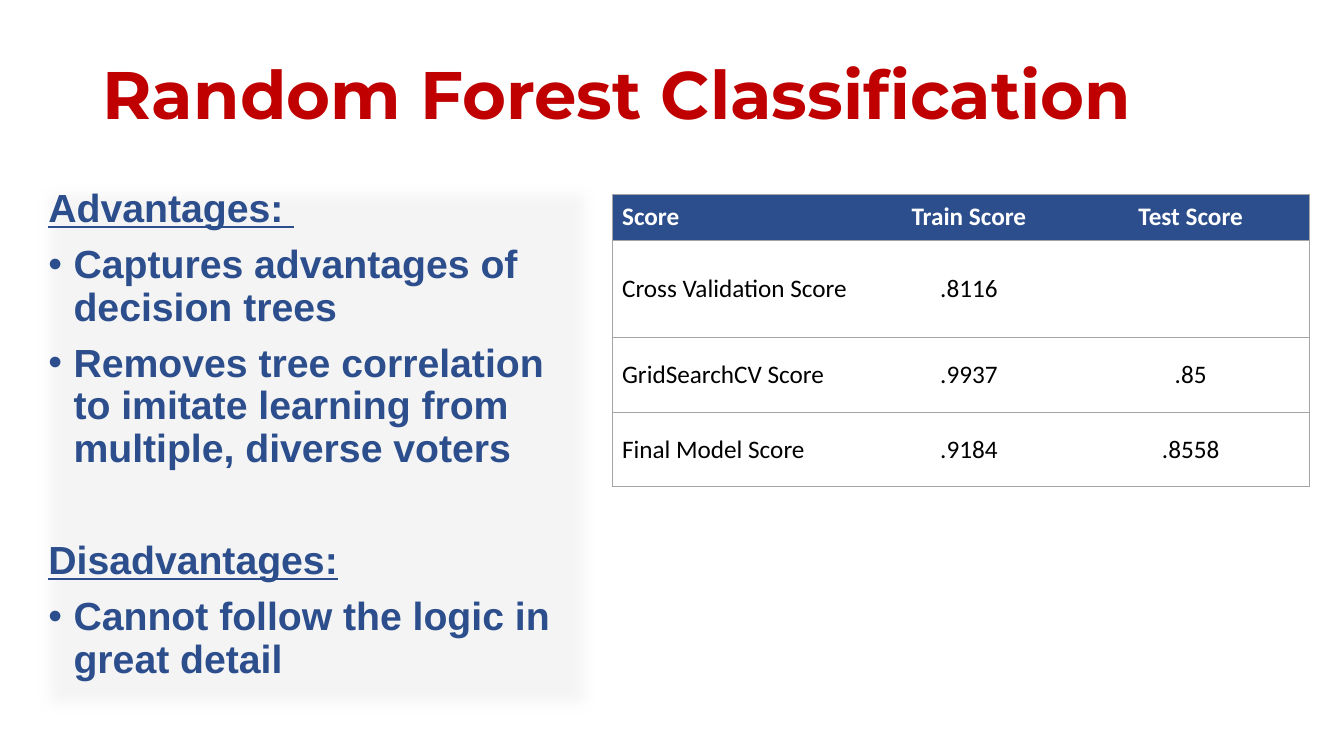
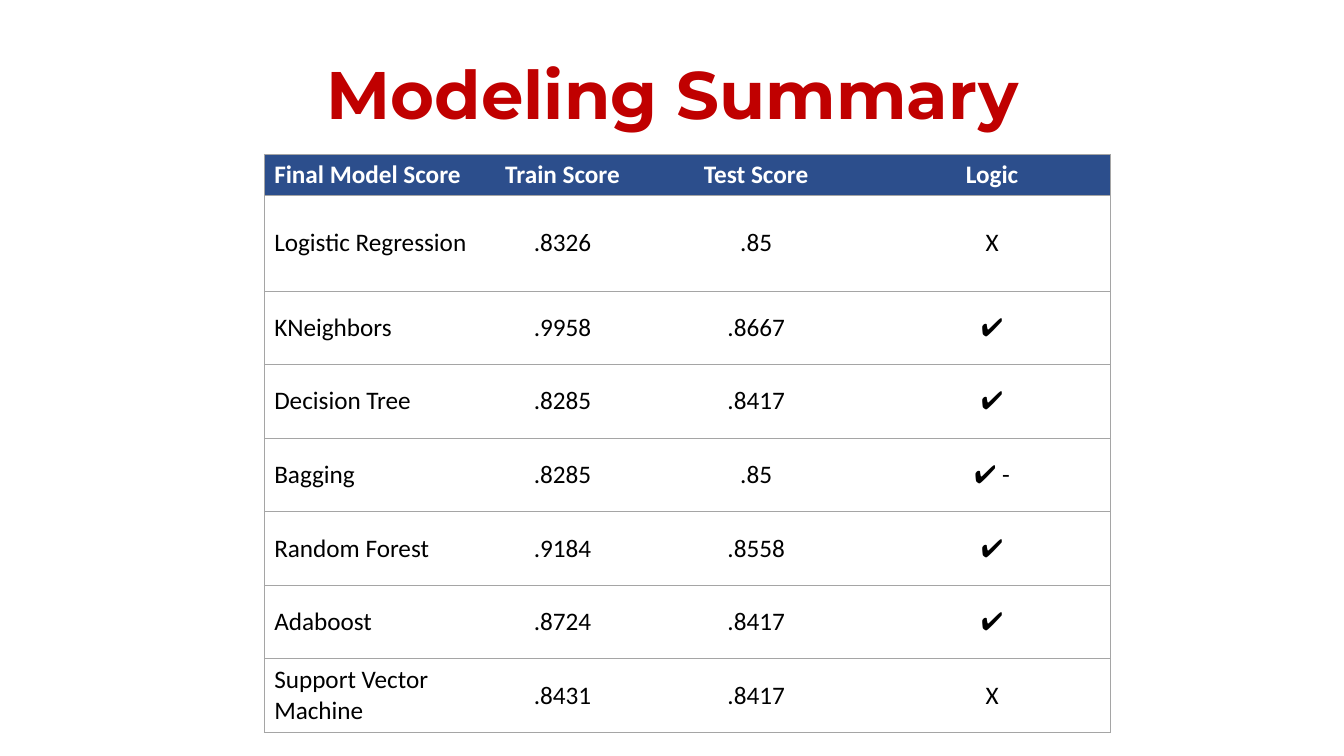
from lxml import etree
from pptx import Presentation
from pptx.dml.color import RGBColor
from pptx.enum.text import MSO_ANCHOR as ANCHOR, MSO_AUTO_SIZE as AUTO, PP_ALIGN as ALIGN
from pptx.oxml import parse_xml
from pptx.oxml.ns import nsdecls, qn
from pptx.util import Pt

PX = 9144  # EMU per px, 100 px to the inch
RED, BLUE, GREY, PANEL = "C00000", "2C4E8C", "A5A5A5", "F2F2F2"
WHITE, BLACK = "FFFFFF", "000000"
TITLE_BOX = (92, 40, 1150, 113)
TITLE_ONLY, TITLE_AND_BODY = 5, 1


def px(n):
    return n * PX


def color(value):
    return RGBColor.from_string(value)


def place(sp, box):
    sp.left, sp.top, sp.width, sp.height = map(px, box)


def add_run(p, text, font, size, hue, bold=False, underline=False):
    r = p.add_run()
    r.text = text
    f = r.font
    f.name, f.size, f.bold, f.underline = font, Pt(size), bold, underline
    f.color.rgb = color(hue)


def add_title(s, text, align):
    sp = s.shapes.title
    place(sp, TITLE_BOX)
    tf = sp.text_frame
    tf.auto_size, tf.vertical_anchor = AUTO.NONE, ANCHOR.MIDDLE
    p = tf.paragraphs[0]
    p.alignment, p.line_spacing = align, 0.9
    add_run(p, text, "Montserrat", 48, RED, bold=True)


def set_bullet(p, bulleted):
    pPr = p._p.get_or_add_pPr()
    indent = px(25) if bulleted else 0
    pPr.set("marL", str(indent))
    pPr.set("indent", str(-indent))
    if bulleted:
        etree.SubElement(pPr, qn("a:buFont")).set("typeface", "Arial")
        etree.SubElement(pPr, qn("a:buChar")).set("char", "•")
    else:
        etree.SubElement(pPr, qn("a:buNone"))


def add_panel(s, box, sections):
    """Soft-edged panel with underlined headings and bullets."""
    sp = s.placeholders[1]
    place(sp, box)
    sp.fill.solid()
    sp.fill.fore_color.rgb = color(PANEL)
    rgb = sp._element.spPr.find(".//" + qn("a:srgbClr"))
    etree.SubElement(rgb, qn("a:alpha")).set("val", "72000")
    sp.line.fill.background()
    sp._element.spPr.append(parse_xml(
        f'<a:effectLst {nsdecls("a")}><a:softEdge rad="112500"/></a:effectLst>'))

    tf = sp.text_frame
    tf.word_wrap, tf.auto_size, tf.vertical_anchor = True, AUTO.NONE, ANCHOR.TOP
    p = tf.paragraphs[0]
    for number, (heading, bullets) in enumerate(sections):
        for i, text in enumerate([heading, *bullets]):
            is_heading = i == 0
            if number or i:
                p = tf.add_paragraph()
            p.alignment, p.line_spacing = ALIGN.LEFT, 0.9
            p.space_before = Pt(50 if is_heading and number else 10)
            p.space_after = Pt(0)
            set_bullet(p, not is_heading)
            add_run(p, text, "Arial", 28, BLUE, bold=True, underline=is_heading)


def set_borders(cell, first, last):
    """Rules above and below each row, side rules only on the outside."""
    tcPr = cell._tc.get_or_add_tcPr()
    sides = {"lnL": first, "lnR": last, "lnT": True, "lnB": True}
    for i, (side, shown) in enumerate(sides.items()):
        fill = (f'<a:solidFill><a:srgbClr val="{GREY}"/></a:solidFill>'
                if shown else "<a:noFill/>")
        tcPr.insert(i, parse_xml(
            f'<a:{side} {nsdecls("a")} w="6350">{fill}</a:{side}>'))


def add_score_table(s, left, top, widths, heights, rows):
    box = map(px, (left, top, sum(widths), sum(heights)))
    table = s.shapes.add_table(len(rows), len(widths), *box).table
    table.horz_banding = False
    for col, width in zip(table.columns, widths):
        col.width = px(width)
    for row, height in zip(table.rows, heights):
        row.height = px(height)
    for i, texts in enumerate(rows):
        header = i == 0
        for j, text in enumerate(texts):
            cell = table.cell(i, j)
            cell.vertical_anchor = ANCHOR.MIDDLE
            if header:
                cell.fill.solid()
                cell.fill.fore_color.rgb = color(BLUE)
            else:
                cell.fill.background()
            set_borders(cell, j == 0, j == len(widths) - 1)
            p = cell.text_frame.paragraphs[0]
            p.alignment = ALIGN.CENTER if j else ALIGN.LEFT
            if text:
                add_run(p, text, "Calibri", 18, WHITE if header else BLACK, bold=header)


def new_slide(prs, layout, title, align):
    s = prs.slides.add_slide(prs.slide_layouts[layout])
    add_title(s, title, align)
    return s


def forest_slide(prs):
    s = new_slide(prs, TITLE_AND_BODY, "Random Forest Classification", ALIGN.LEFT)
    add_panel(s, (38, 182, 553, 527), [
        ("Advantages: ", [
            "Captures advantages of decision trees",
            "Removes tree correlation to imitate learning from multiple, diverse voters",
        ]),
        ("Disadvantages:", ["Cannot follow the logic in great detail"]),
    ])
    add_score_table(s, 607, 193, (252, 204, 236), (45, 97, 74, 74), [
        ("Score", "Train Score", "Test Score"),
        ("Cross Validation Score", ".8116", ""),
        ("GridSearchCV Score", ".9937", ".85"),
        ("Final Model Score", ".9184", ".8558"),
    ])


def summary_slide(prs):
    s = new_slide(prs, TITLE_ONLY, "Modeling Summary", ALIGN.CENTER)
    add_score_table(s, 262, 153, (221, 150, 234, 234), (40, 95, *[73] * 6), [
        ("Final Model Score", "Train Score", "Test Score", "Logic"),
        ("Logistic Regression", ".8326", ".85", "X"),
        ("KNeighbors", ".9958", ".8667", "✔"),
        ("Decision Tree", ".8285", ".8417", "✔"),
        ("Bagging", ".8285", ".85", "✔ -"),
        ("Random Forest", ".9184", ".8558", "✔"),
        ("Adaboost", ".8724", ".8417", "✔"),
        ("Support Vector Machine", ".8431", ".8417", "X"),
    ])


def main():
    prs = Presentation()
    prs.slide_width, prs.slide_height = px(1333), px(750)
    forest_slide(prs)
    summary_slide(prs)
    prs.save("out.pptx")


if __name__ == "__main__":
    main()
